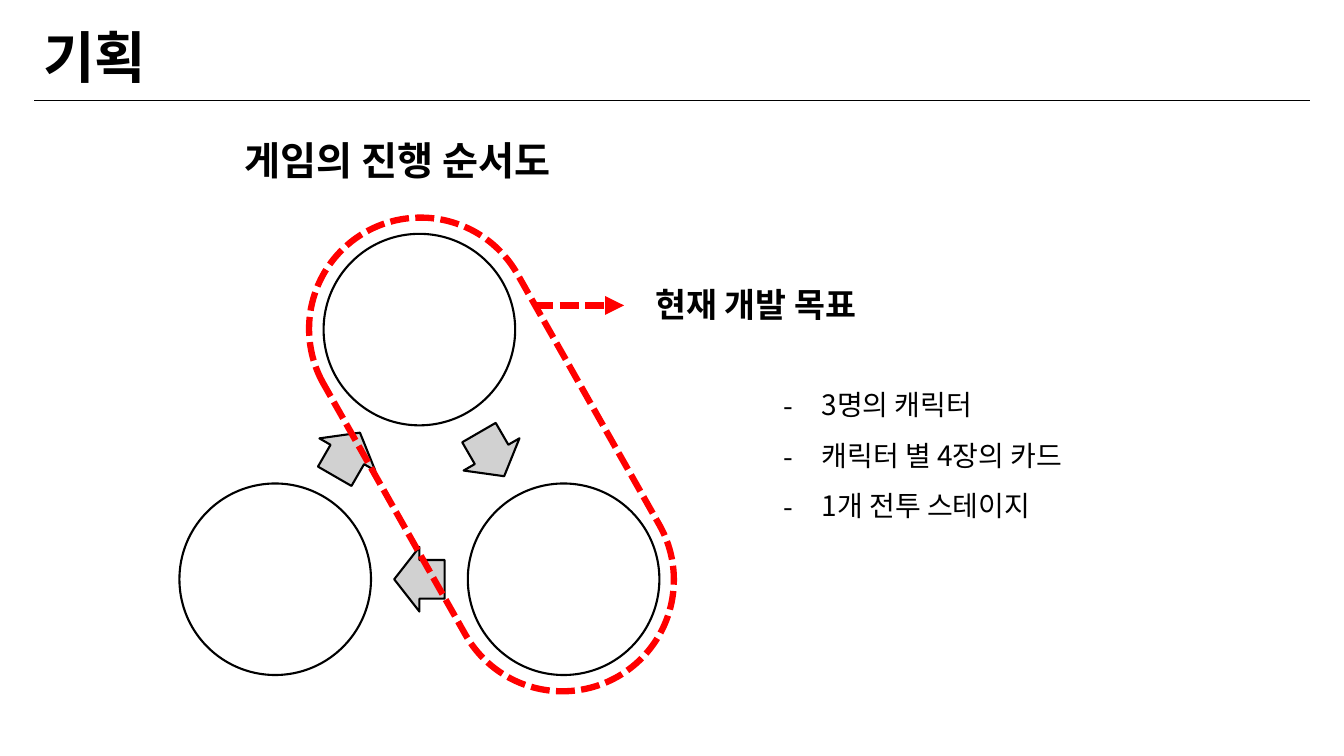
from dataclasses import dataclass
from math import cos, radians, sin, sqrt

from lxml import etree
from pptx import Presentation
from pptx.dml.color import RGBColor
from pptx.enum.dml import MSO_LINE
from pptx.enum.shapes import MSO_CONNECTOR, MSO_SHAPE
from pptx.enum.text import MSO_AUTO_SIZE, PP_ALIGN
from pptx.oxml.ns import qn
from pptx.util import Inches, Pt

OVAL = MSO_SHAPE.OVAL
RIGHT_ARROW = MSO_SHAPE.RIGHT_ARROW
CAPSULE = MSO_SHAPE.ROUNDED_RECTANGLE
STRAIGHT = MSO_CONNECTOR.STRAIGHT
DASHED = MSO_LINE.SQUARE_DOT
LEFT = PP_ALIGN.LEFT
GROW = MSO_AUTO_SIZE.SHAPE_TO_FIT_TEXT


@dataclass(frozen=True)
class Theme:
    font: str = "Noto Sans CJK KR"
    ink: RGBColor = RGBColor(0, 0, 0)
    paper: RGBColor = RGBColor(255, 255, 255)
    arrow: RGBColor = RGBColor(0xD1, 0xD1, 0xD1)
    accent: RGBColor = RGBColor(255, 0, 0)
    title: int = 40
    heading: int = 28
    label: int = 24
    body: int = 20
    thin: float = 1
    outline: float = 1.5
    thick: float = 4.5


THEME = Theme()


def apply(target, values):
    for name, value in values.items():
        setattr(target, name, value)


def write(frame, lines, size, bold=False, bullet=None):
    for index, line in enumerate(lines):
        para = frame.paragraphs[0] if index == 0 else frame.add_paragraph()
        para.alignment = LEFT
        if bullet:
            para.line_spacing = 1.5
            properties = para._p.get_or_add_pPr()
            properties.set("marL", str(Inches(0.38)))
            properties.set("indent", str(-Inches(0.38)))
            etree.SubElement(properties, qn("a:buFont"), typeface=THEME.font)
            etree.SubElement(properties, qn("a:buChar"), char=bullet)
        span = para.add_run()
        span.text = line
        apply(span.font, {"name": THEME.font, "size": Pt(size), "bold": bold})
        span.font.color.rgb = THEME.ink
        etree.SubElement(span._r.get_or_add_rPr(), qn("a:ea"), typeface=THEME.font)


def add_text(page, box, lines, size, **style):
    frame = page.shapes.add_textbox(*map(Inches, box)).text_frame
    apply(frame, {"word_wrap": True, "auto_size": GROW})
    write(frame, lines, size, **style)


def add_centred(shapes, kind, centre, size, fill=None, line=THEME.ink,
                width=THEME.outline, turn=0):
    (x, y), (wide, high) = centre, size
    shape = shapes.add_shape(
        kind, *map(Inches, (x - wide / 2, y - high / 2, wide, high)))
    shape.shadow.inherit = False
    shape.rotation = turn
    if fill is None:
        shape.fill.background()
    else:
        shape.fill.solid()
        shape.fill.fore_color.rgb = fill
    shape.line.color.rgb = line
    shape.line.width = Pt(width)
    return shape


def add_border(cell, side, color):
    border = etree.SubElement(cell._tc.get_or_add_tcPr(), qn(f"a:ln{side}"),
                              w=str(Pt(THEME.thin)))
    if color is None:
        etree.SubElement(border, qn("a:noFill"))
    else:
        fill = etree.SubElement(border, qn("a:solidFill"))
        etree.SubElement(fill, qn("a:srgbClr"), val=str(color))


def add_title(page, box):
    holder = page.shapes.add_table(1, 1, *map(Inches, box))
    table = holder.table
    apply(table, {"first_row": False, "horz_banding": False})
    # The row grows to fit its text
    table.rows[0].height = Inches(0.4)
    holder.height = Inches(box[3])
    cell = table.cell(0, 0)
    borders = {"L": THEME.paper, "R": THEME.paper, "T": None, "B": THEME.ink}
    for side, color in borders.items():
        add_border(cell, side, color)
    cell.fill.solid()
    cell.fill.fore_color.rgb = THEME.paper
    write(cell.text_frame, ["기획"], THEME.title, bold=True)


def add_cycle(page, box):
    left, top, width, height = box
    circle = 1.9
    side = width - circle
    radius = side / sqrt(3)
    middle_x, middle_y = left + width / 2, top + circle / 2 + radius
    # Corners of an equal-sided triangle, clockwise from the top
    centres = [(middle_x + radius * cos(radians(angle)),
                middle_y + radius * sin(radians(angle))) for angle in (-90, 30, 150)]
    midpoints = [tuple((a + b) / 2 for a, b in zip(centre, centres[(step + 1) % 3]))
                 for step, centre in enumerate(centres)]

    # Steps and the arrows between them
    cycle = page.shapes.add_group_shape()
    for step, (centre, midpoint) in enumerate(zip(centres, midpoints)):
        add_centred(cycle.shapes, OVAL, centre, (circle, circle), THEME.paper)
        arrow = add_centred(cycle.shapes, RIGHT_ARROW, midpoint, (0.5, 0.64),
                            THEME.arrow, turn=60 + 120 * step)
        arrow.adjustments[0] = 0.6
        arrow.adjustments[1] = 0.5

    # Dashed outline around the first two steps
    band = 2.21
    goal = add_centred(page.shapes, CAPSULE, midpoints[0], (band, side + band),
                       line=THEME.accent, width=THEME.thick, turn=330.5)
    goal.adjustments[0] = 0.5
    goal.line.dash_style = DASHED


def add_goal(page, box):
    left, top, width, height = box
    # Pointer from the outline to the label
    pointer_y = top + 0.26
    pointer = page.shapes.add_connector(
        STRAIGHT, *map(Inches, (left, pointer_y, left + 0.89, pointer_y)))
    pointer.line.color.rgb = THEME.accent
    apply(pointer.line, {"width": Pt(THEME.thick), "dash_style": DASHED})
    etree.SubElement(pointer.line._get_or_add_ln(), qn("a:tailEnd"), type="triangle")
    etree.SubElement(pointer._element.spPr, qn("a:effectLst"))

    # Label and its targets
    add_text(page, (left + 1.1, top, 2.54, 0.5), ["현재 개발 목표"],
             THEME.label, bold=True)
    targets = ["3명의 캐릭터", "캐릭터 별 4장의 카드", "1개 전투 스테이지"]
    add_text(page, (left + 2.37, top + 0.86, width - 2.37, height - 0.86),
             targets, THEME.body, bullet="-")


def main():
    deck = Presentation()
    deck.slide_width, deck.slide_height = Inches(13.33), Inches(7.5)
    page = deck.slides.add_slide(deck.slide_layouts[6])
    add_title(page, (0.33, 0.09, 12.67, 0.77))
    add_text(page, (2.33, 1.3, 3.67, 0.57), ["게임의 진행 순서도"],
             THEME.heading, bold=True)
    add_cycle(page, (1.78, 2.32, 4.76, 4.37))
    add_goal(page, (5.3, 2.77, 5.76, 2.41))
    deck.save("out.pptx")


if __name__ == "__main__":
    main()
